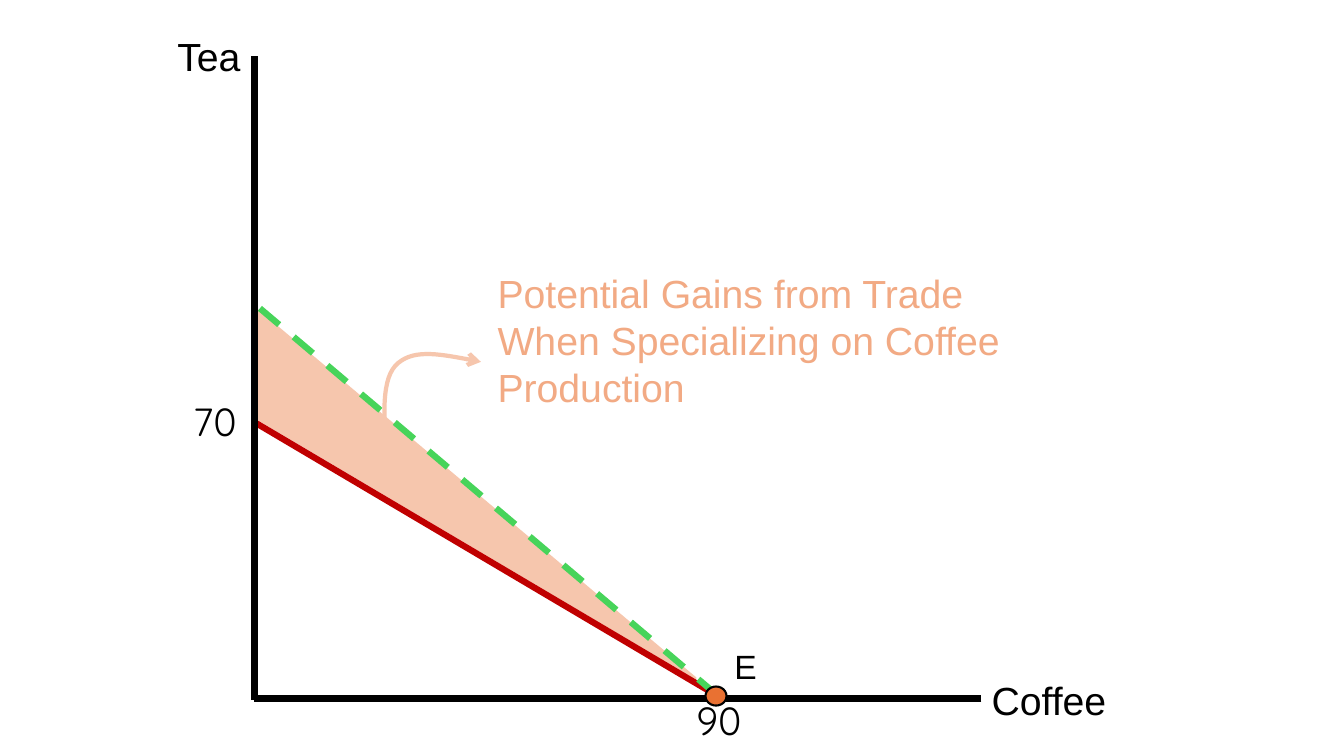
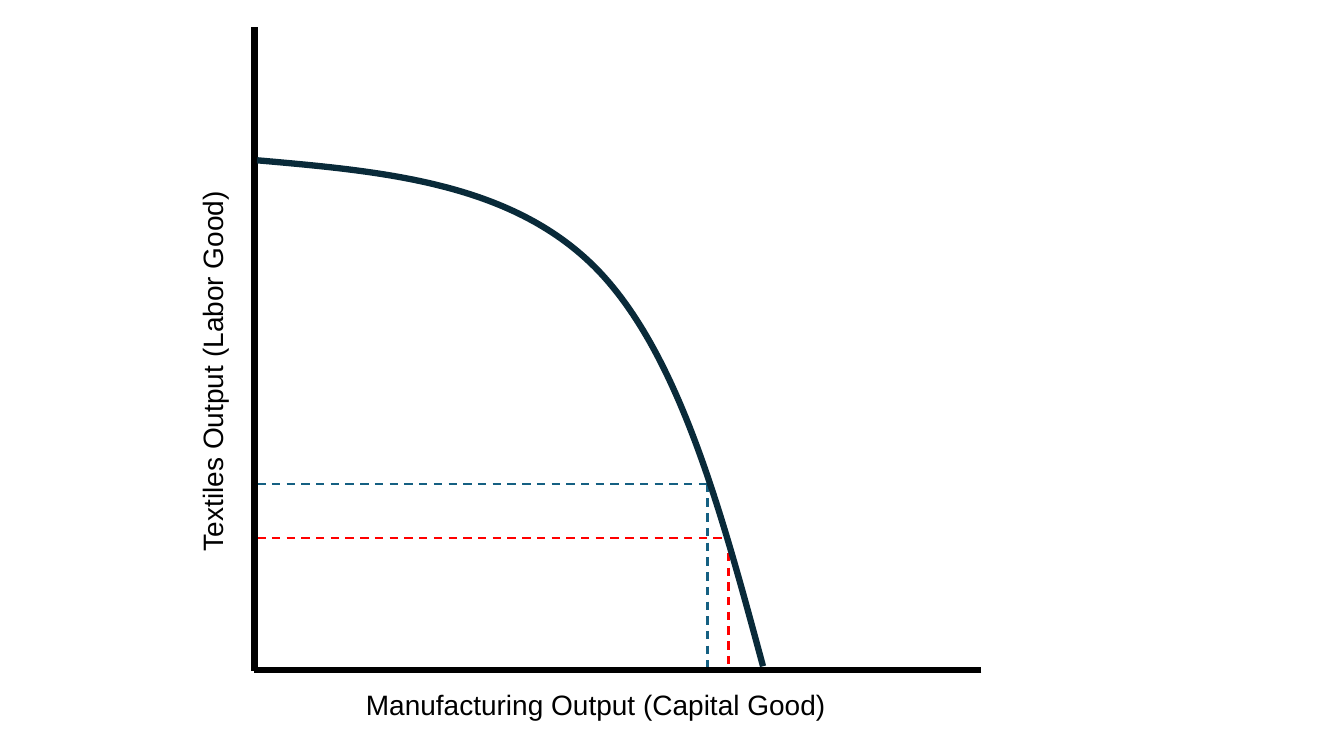
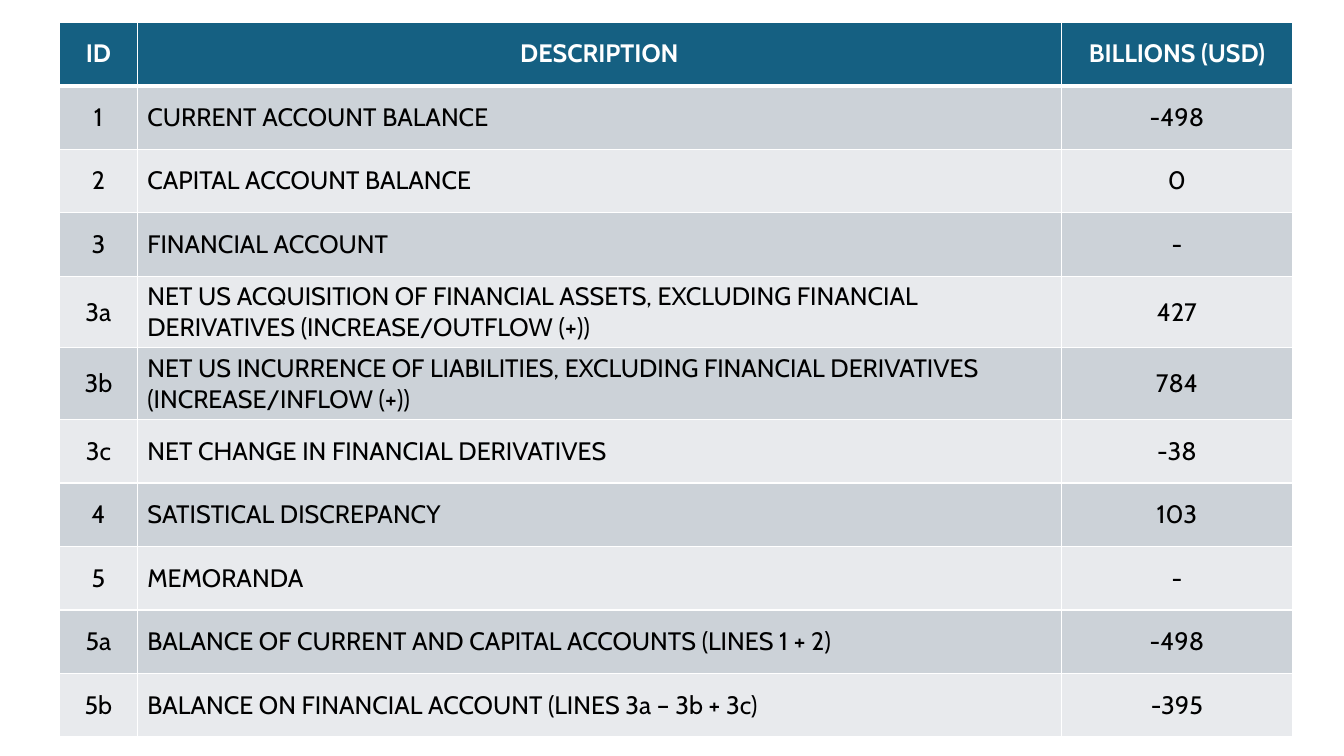
from dataclasses import dataclass

from lxml.etree import SubElement
from pptx import Presentation
from pptx.dml.color import RGBColor
from pptx.enum.dml import MSO_LINE
from pptx.enum.shapes import MSO_CONNECTOR, MSO_SHAPE
from pptx.enum.text import MSO_ANCHOR, PP_ALIGN
from pptx.oxml.ns import qn
from pptx.util import Cm, Pt


@dataclass(frozen=True)
class Theme:
    black: str = "000000"
    white: str = "FFFFFF"
    home_frontier: str = "C00000"
    trade_line: str = "47D45A"
    gains: str = "F6C6AD"
    gains_text: str = "F2AA84"
    point: str = "E97132"
    curve: str = "092A39"
    before: str = "156082"
    after: str = "FF0000"
    header: str = "156082"
    bands: tuple = ("CCD2D8", "E8EAED")
    label_font: str = "Arial"
    number_font: str = "Quicksand"
    table_font: str = "Cabin"
    label_size: int = 28
    point_size: int = 24
    axis_size: int = 20
    table_size: int = 18
    heavy: float = 4.5
    medium: float = 3
    thin: float = 1.5


theme = Theme()


def add_line(slide, start, end, color, width, dashed=False):
    ends = [Cm(value) for value in (*start, *end)]
    line = slide.shapes.add_connector(MSO_CONNECTOR.STRAIGHT, *ends)
    line.line.color.rgb = RGBColor.from_string(color)
    line.line.width = Pt(width)
    if dashed:
        line.line.dash_style = MSO_LINE.DASH
    SubElement(line._element.spPr, qn("a:effectLst"))


def add_label(slide, text, box, size, font=theme.label_font, color=theme.black):
    label = slide.shapes.add_textbox(*[Cm(value) for value in box])
    label.text_frame.word_wrap = True
    label.text_frame.text = text
    run_font = label.text_frame.paragraphs[0].runs[0].font
    run_font.name = font
    run_font.size = Pt(size)
    run_font.color.rgb = RGBColor.from_string(color)
    return label


deck = Presentation()
deck.slide_width, deck.slide_height = Cm(33.87), Cm(19.05)
trade, frontier, accounts = [
    deck.slides.add_slide(deck.slide_layouts[6]) for _ in range(3)
]

# Gains from trade: wedge between the home frontier and the trade line
corners = [(Cm(x), Cm(y)) for x, y in ((17.53, 17.09), (6.43, 10.52), (6.43, 7.77))]
builder = trade.shapes.build_freeform(*corners[0], scale=1.0)
builder.add_line_segments(corners[1:], close=True)
wedge = builder.convert_to_shape()
wedge.shadow.inherit = False
wedge.fill.solid()
wedge.fill.fore_color.rgb = RGBColor.from_string(theme.gains)
wedge.line.color.rgb = RGBColor.from_string(theme.gains)
wedge.line.width = Pt(theme.thin)
add_line(trade, (6.38, 10.62), (18.19, 17.6), theme.home_frontier, theme.heavy)

# Dashed guides from the frontier to both axes
for x, y, foot, color in (
    (18.36, 13.56, 16.79, theme.after),
    (17.83, 12.19, 16.89, theme.before),
):
    add_line(frontier, (6.48, y), (x, y), color, theme.thin, dashed=True)
    add_line(frontier, (x, y), (x, foot), color, theme.thin, dashed=True)

# Axes of both diagrams
for slide, top, base in ((trade, 1.42, 17.6), (frontier, 0.69, 16.89)):
    add_line(slide, (6.41, top), (6.41, base + 0.03), theme.black, theme.heavy)
    add_line(slide, (24.73, base), (6.39, base), theme.black, theme.heavy)

add_line(trade, (6.55, 7.77), (18.42, 17.81), theme.trade_line, theme.heavy, dashed=True)

# Curves: a start, then three points for each Bezier section
curves = (
    (trade, theme.gains, theme.medium, True,
     ((9.78, 11.76), (9.68, 10.72), (9.58, 9.65), (9.96, 9.22),
      (10.36, 8.79), (11.23, 8.94), (12.12, 9.12))),
    (frontier, theme.curve, theme.heavy, False,
     ((6.48, 4.04), (9.68, 4.32), (12.85, 4.6), (14.99, 6.73),
      (17.09, 8.84), (18.16, 12.83), (19.23, 16.79))),
)
for slide, color, width, has_arrow, points in curves:
    points = [(Cm(x), Cm(y)) for x, y in points]
    builder = slide.shapes.build_freeform(*points[0], scale=1.0)
    builder.add_line_segments(points[1:], close=False)
    curve = builder.convert_to_shape()
    curve.shadow.inherit = False
    curve.fill.background()
    curve.line.color.rgb = RGBColor.from_string(color)
    curve.line.width = Pt(width)
    if has_arrow:
        SubElement(curve.line._get_or_add_ln(), qn("a:tailEnd"), type="arrow")
    outline = curve._element.find(".//" + qn("a:path"))
    segments = outline.findall(qn("a:lnTo"))
    for first in range(0, len(segments), 3):
        section = SubElement(outline, qn("a:cubicBezTo"))
        for segment in segments[first:first + 3]:
            section.append(segment[0])
            outline.remove(segment)

# Production point E
point = trade.shapes.add_shape(MSO_SHAPE.OVAL, Cm(17.78), Cm(17.3), Cm(0.53), Cm(0.48))
point.shadow.inherit = False
point.fill.solid()
point.fill.fore_color.rgb = RGBColor.from_string(theme.point)
point.line.color.rgb = RGBColor.from_string(theme.black)
point.line.width = Pt(theme.thin)

# Labels of the trade diagram
for text, box, font in (
    ("Tea", (4.22, 0.69, 2.34, 1.45), theme.label_font),
    ("Coffee", (24.74, 16.92, 3.89, 1.45), theme.label_font),
    ("70", (4.62, 9.88, 1.93, 1.45), theme.number_font),
    ("90", (17.3, 17.42, 1.93, 1.45), theme.number_font),
):
    add_label(trade, text, box, theme.label_size, font)
add_label(trade, "E", (18.26, 16.15, 0.86, 1.27), theme.point_size)
add_label(
    trade,
    "Potential Gains from Trade When Specializing on Coffee Production",
    (12.29, 6.65, 14.05, 3.84), theme.label_size, color=theme.gains_text,
)

# Axis titles of the frontier diagram
add_label(frontier, "Manufacturing Output (Capital Good)",
          (8.97, 17.2, 13.21, 1.12), theme.axis_size)
textiles = add_label(frontier, "Textiles Output (Labor Good)",
                     (0.03, 8.26, 10.64, 1.12), theme.axis_size)
textiles.rotation = 270

# Balance of payments table
entries = (
    ("ID", "DESCRIPTION", "BILLIONS (USD)"),
    ("1", "CURRENT ACCOUNT BALANCE", "-498"),
    ("2", "CAPITAL ACCOUNT BALANCE", "0"),
    ("3", "FINANCIAL ACCOUNT", "-"),
    ("3a", "NET US ACQUISITION OF FINANCIAL ASSETS, EXCLUDING FINANCIAL "
           "DERIVATIVES (INCREASE/OUTFLOW (+))", "427"),
    ("3b", "NET US INCURRENCE OF LIABILITIES, EXCLUDING FINANCIAL "
           "DERIVATIVES (INCREASE/INFLOW (+))", "784"),
    ("3c", "NET CHANGE IN FINANCIAL DERIVATIVES", "-38"),
    ("4", "SATISTICAL DISCREPANCY", "103"),
    ("5", "MEMORANDA", "-"),
    ("5a", "BALANCE OF CURRENT AND CAPITAL ACCOUNTS (LINES 1 + 2)", "-498"),
    ("5b", "BALANCE ON FINANCIAL ACCOUNT (LINES 3a – 3b + 3c)", "-395"),
)
widths = (1.96, 23.29, 5.82)
row_height = 1.6
balance = accounts.shapes.add_table(
    len(entries), len(widths), Cm(1.5), Cm(0.56),
    Cm(sum(widths)), Cm(row_height * len(entries)),
).table
for column, width in zip(balance.columns, widths):
    column.width = Cm(width)

for row, entry in enumerate(entries):
    balance.rows[row].height = Cm(row_height)
    is_header = row == 0
    for column, text in enumerate(entry):
        cell = balance.cell(row, column)
        cell.vertical_anchor = MSO_ANCHOR.MIDDLE
        cell.text_frame.text = text
        paragraph = cell.text_frame.paragraphs[0]
        if is_header or column != 1:
            paragraph.alignment = PP_ALIGN.CENTER
        font = paragraph.runs[0].font
        font.name = theme.table_font
        font.size = Pt(theme.table_size)
        font.bold = is_header
        font.color.rgb = RGBColor.from_string(theme.white if is_header else theme.black)

        # White borders, heavier between the header and the body
        for side in "LRTB":
            heavy = (row, side) in ((0, "B"), (1, "T"))
            border = SubElement(cell._tc.get_or_add_tcPr(), qn(f"a:ln{side}"),
                                w=str(Pt(3 if heavy else 1)))
            paint = SubElement(border, qn("a:solidFill"))
            SubElement(paint, qn("a:srgbClr"), val=theme.white)
        cell.fill.solid()
        cell.fill.fore_color.rgb = RGBColor.from_string(
            theme.header if is_header else theme.bands[(row - 1) % 2])

deck.save("out.pptx")
